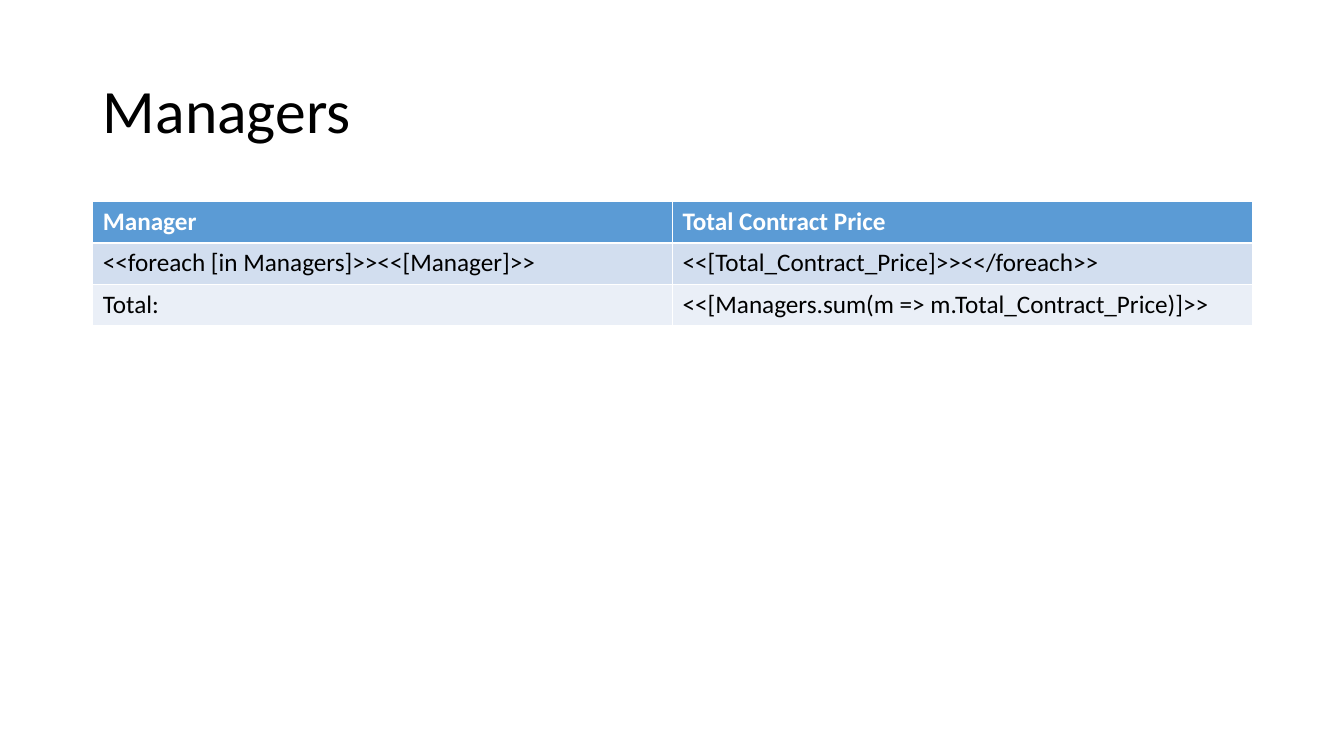
"""Build the Managers slide: a title above a table of contract totals."""
from dataclasses import dataclass

from pptx import Presentation
from pptx import util as u
from pptx.dml.color import RGBColor
from pptx.enum import text


@dataclass(frozen=True)
class Theme:
    font: str = "Calibri"
    title_size: int = 44
    body_size: int = 18
    dark: str = "000000"
    light: str = "FFFFFF"
    header: str = "5B9BD5"
    band: str = "D2DEEF"
    pale_band: str = "EAEFF7"


@dataclass(frozen=True)
class TableRow:
    manager: str
    price: str
    fill: str
    color: str
    bold: bool = False


THEME = Theme()
LEFT, WIDTH = u.Inches(0.92), u.Inches(11.5)
ROW_HEIGHT = u.Inches(0.41)
ROWS = [
    TableRow("Manager", "Total Contract Price", THEME.header, THEME.light, True),
    TableRow("<<foreach [in Managers]>><<[Manager]>>",
             "<<[Total_Contract_Price]>><</foreach>>", THEME.band, THEME.dark),
    TableRow("Total:", "<<[Managers.sum(m => m.Total_Contract_Price)]>>",
             THEME.pale_band, THEME.dark),
]


def write(frame, wording: str, size: int, color: str, bold: bool = False) -> None:
    frame.text = wording
    font = frame.paragraphs[0].runs[0].font
    font.name, font.size, font.bold = THEME.font, u.Pt(size), bold
    font.color.rgb = RGBColor.from_string(color)


def add_heading(slide, wording: str) -> None:
    heading = slide.shapes.title
    heading.left, heading.top = LEFT, u.Inches(0.4)
    heading.width, heading.height = WIDTH, u.Inches(1.45)
    frame = heading.text_frame
    write(frame, wording, THEME.title_size, THEME.dark)
    frame.word_wrap = True
    frame.vertical_anchor = text.MSO_ANCHOR.MIDDLE
    frame.paragraphs[0].alignment = text.PP_ALIGN.LEFT
    frame.paragraphs[0].line_spacing = 0.9


def add_managers(slide, rows: list[TableRow]) -> None:
    managers = slide.shapes.add_table(
        len(rows), 2, LEFT, u.Inches(2), WIDTH, ROW_HEIGHT * len(rows)).table
    for index, row in enumerate(rows):
        for cell, wording in zip(managers.rows[index].cells, (row.manager, row.price)):
            cell.fill.solid()
            cell.fill.fore_color.rgb = RGBColor.from_string(row.fill)
            write(cell.text_frame, wording, THEME.body_size, row.color, row.bold)


def main() -> None:
    deck = Presentation()
    deck.slide_width, deck.slide_height = u.Inches(13.33), u.Inches(7.5)
    slide = deck.slides.add_slide(deck.slide_layouts.get_by_name("Title Only"))
    add_heading(slide, "Managers")
    add_managers(slide, ROWS)
    deck.save("out.pptx")


if __name__ == "__main__":
    main()
